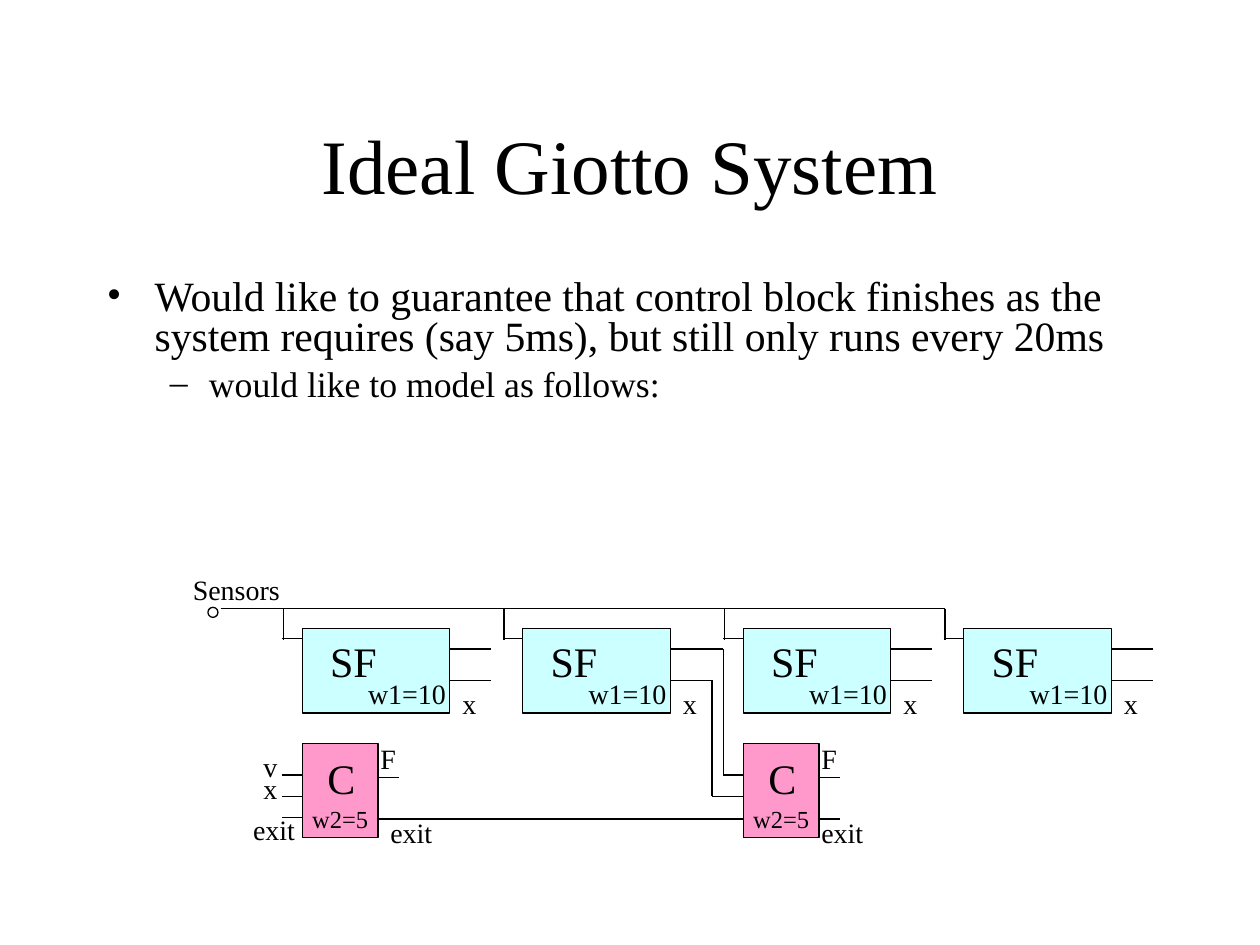
from typing import NamedTuple

import lxml.etree
import pptx
import pptx.dml.color
import pptx.enum.shapes
import pptx.enum.text
import pptx.oxml.ns
import pptx.util
from pptx.util import Inches

FONT = "Times New Roman"
BLACK, CYAN, PINK = "000000", "CCFFFF", "FF99CC"
PITCH = 1.75
FIRST_LEFT = 2.4
BUS_TOP = 4.83


class Label(NamedTuple):
    text: str
    left: float
    top: float
    width: float
    height: float = 0.37
    size: float = 16


class Wire(NamedTuple):
    x1: float
    y1: float
    x2: float
    y2: float


class Bullet(NamedTuple):
    text: str
    mark: str
    level: int
    size: float
    margin: float
    hanging: float
    before: float


class Block(NamedTuple):
    """A task block; labels and wires are measured from the slide's left edge
    for the first column and shifted along with the block."""
    fill: str
    top: float
    width: float
    height: float
    labels: tuple[Label, ...]
    wires: tuple[Wire, ...]


SENSOR_TASK = Block(
    CYAN, 4.99, 1.17, 0.67,
    (Label("SF", 2.52, 4.99, 0.57, 0.5, 24),
     Label("w1=10", 2.82, 5.32, 0.82),
     Label("x", 3.57, 5.4, 0.31)),
    (Wire(2.25, BUS_TOP, 2.25, 5.08), Wire(2.24, 5.07, 2.4, 5.07),
     Wire(3.57, 5.15, 3.9, 5.15), Wire(3.57, 5.4, 3.9, 5.4)),
)
CONTROL_TASK = Block(
    PINK, 5.9, 0.6, 0.75,
    (Label("C", 2.5, 5.92, 0.42, 0.5, 24),
     Label("w2=5", 2.37, 6.33, 0.66, 0.34, 14),
     Label("F", 2.92, 5.83, 0.32)),
    (Wire(2.24, 6.15, 2.4, 6.15), Wire(2.24, 6.32, 2.4, 6.32),
     Wire(3, 6.17, 3.17, 6.17)),
)
LABELS = (
    Label("Sensors", 1.43, 4.49, 0.89),
    Label("v", 1.99, 5.9, 0.31),
    Label("x", 1.99, 6.07, 0.31),
    Label("exit", 1.91, 6.4, 0.53),
    Label("exit", 3, 6.42, 0.53),
    Label("exit", 6.42, 6.42, 0.53),
)
WIRES = (
    Wire(1.75, BUS_TOP, 7.5, BUS_TOP),
    Wire(5.65, 5.15, 5.74, 5.15), Wire(5.74, 5.15, 5.74, 6.15),
    Wire(5.65, 5.4, 5.65, 6.32), Wire(5.65, 6.32, 5.74, 6.32),
    Wire(2.24, 6.49, 2.4, 6.49),
    Wire(3, 6.5, 5.9, 6.5), Wire(6.5, 6.5, 6.67, 6.5),
)
BULLETS = (
    Bullet("Would like to guarantee that control block finishes as the "
           "system requires (say 5ms), but still only runs every 20ms",
           "•", 0, 23.8, 0.38, 0.38, 0),
    Bullet("would like to model as follows:", "–", 1, 20.4, 0.81, 0.31, 6),
)


def color(value: str) -> pptx.dml.color.RGBColor:
    return pptx.dml.color.RGBColor.from_string(value)


def add_span(para, text: str, size: float) -> None:
    span = para.add_run()
    span.text = text
    span.font.name = FONT
    span.font.size = pptx.util.Pt(size)
    span.font.color.rgb = color(BLACK)


def add_label(page, label: Label, shift: float = 0, wrap: bool = False) -> None:
    box = page.shapes.add_textbox(Inches(label.left + shift), Inches(label.top),
                                  Inches(label.width), Inches(label.height))
    frame = box.text_frame
    frame.word_wrap = wrap
    if not wrap:
        frame.auto_size = pptx.enum.text.MSO_AUTO_SIZE.SHAPE_TO_FIT_TEXT
    frame.vertical_anchor = pptx.enum.text.MSO_ANCHOR.MIDDLE
    para = frame.paragraphs[0]
    para.alignment = pptx.enum.text.PP_ALIGN.CENTER
    add_span(para, label.text, label.size)


def add_bullets(page) -> None:
    box = page.shapes.add_textbox(Inches(0.75), Inches(2.17), Inches(8.5), Inches(1.17))
    frame = box.text_frame
    frame.word_wrap = True
    for index, bullet in enumerate(BULLETS):
        para = frame.add_paragraph() if index else frame.paragraphs[0]
        para.level = bullet.level
        para.line_spacing = 0.8
        para.space_before = pptx.util.Pt(bullet.before)
        properties = para._p.get_or_add_pPr()
        properties.set("marL", str(Inches(bullet.margin)))
        properties.set("indent", str(-Inches(bullet.hanging)))
        for tag, name, value in (("a:buFont", "typeface", FONT),
                                 ("a:buChar", "char", bullet.mark)):
            mark = lxml.etree.SubElement(properties, pptx.oxml.ns.qn(tag))
            mark.set(name, value)
        add_span(para, bullet.text, bullet.size)


def add_wire(page, wire: Wire, shift: float = 0) -> None:
    line = page.shapes.add_connector(
        pptx.enum.shapes.MSO_CONNECTOR.STRAIGHT,
        Inches(wire.x1 + shift), Inches(wire.y1),
        Inches(wire.x2 + shift), Inches(wire.y2))
    line.line.color.rgb = color(BLACK)
    line.line.width = pptx.util.Pt(0.75)
    lxml.etree.SubElement(line._element.spPr, pptx.oxml.ns.qn("a:effectLst"))


def add_outlined(page, kind, left: float, top: float, width: float,
                 height: float, fill: str | None = None) -> None:
    shape = page.shapes.add_shape(kind, Inches(left), Inches(top),
                                  Inches(width), Inches(height))
    shape.shadow.inherit = False
    if fill:
        shape.fill.solid()
        shape.fill.fore_color.rgb = color(fill)
    else:
        shape.fill.background()
    shape.line.color.rgb = color(BLACK)
    shape.line.width = pptx.util.Pt(0.75)


def add_block(page, block: Block, column: int) -> None:
    shift = column * PITCH
    add_outlined(page, pptx.enum.shapes.MSO_SHAPE.RECTANGLE, FIRST_LEFT + shift,
                 block.top, block.width, block.height, block.fill)
    for wire in block.wires:
        add_wire(page, wire, shift)
    for label in block.labels:
        add_label(page, label, shift)


def main() -> None:
    deck = pptx.Presentation()
    deck.slide_width, deck.slide_height = Inches(10), Inches(7.5)
    page = deck.slides.add_slide(deck.slide_layouts[6])
    add_label(page, Label("Ideal Giotto System", 0.75, 0.67, 8.5, 1.25, 44), wrap=True)
    add_bullets(page)
    for column in range(4):
        add_block(page, SENSOR_TASK, column)
    for column in (0, 2):
        add_block(page, CONTROL_TASK, column)
    add_outlined(page, pptx.enum.shapes.MSO_SHAPE.OVAL, 1.65, 4.82, 0.08, 0.08)
    for wire in WIRES:
        add_wire(page, wire)
    for label in LABELS:
        add_label(page, label)
    deck.save("out.pptx")


if __name__ == "__main__":
    main()
